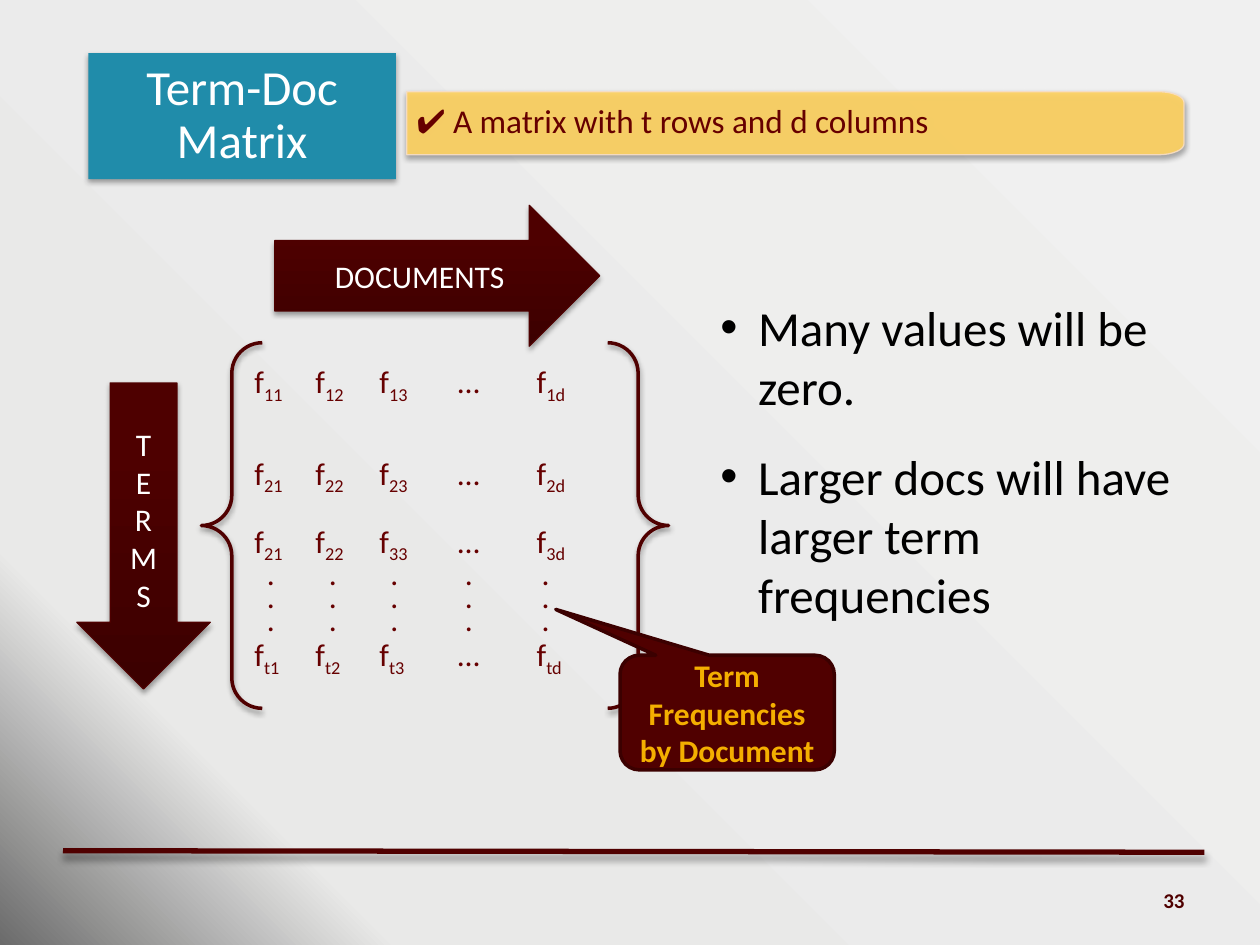
import math
from lxml import etree
from pptx import Presentation, util as u
from pptx.dml.color import RGBColor
from pptx.enum import shapes, text
from pptx.oxml.ns import qn

DARK, WINE, WHITE = "500000", "660000", "FFFFFF"
KIND, ALIGN, MID = shapes.MSO_SHAPE, text.PP_ALIGN, text.MSO_ANCHOR.MIDDLE


def rgb(code):
    return RGBColor.from_string(code)


def node(root, tag, **attrs):
    return etree.SubElement(root, qn("a:" + tag), {k: str(v) for k, v in attrs.items()})


class Deck:
    font = "Calibri"
    size = 18

    def __init__(self, wide, high):
        self.prs = Presentation()
        self.prs.slide_width, self.prs.slide_height = u.Cm(wide), u.Cm(high)
        self.slide = self.prs.slides.add_slide(self.prs.slide_layouts[1])

    def ground(self, stops):
        """Circular gradient that spreads from the top right corner."""
        self.slide.background.fill.gradient()
        grad = self.slide._element.find(".//" + qn("a:gradFill"))
        grad.clear()
        items = node(grad, "gsLst")
        for pos, code in stops:
            node(node(items, "gs", pos=pos * 1000), "srgbClr", val=code)
        node(node(grad, "path", path="circle"), "fillToRect", l=100000, b=100000)

    def place(self, shape, box):
        shape.left, shape.top, shape.width, shape.height = map(u.Cm, box)
        return shape

    def shade(self, shape, alpha=35, blur=3.1, dist=1.8):
        effect = node(shape._element.spPr, "effectLst")
        if alpha:
            cast = node(effect, "outerShdw", blurRad=u.Pt(blur), dist=u.Pt(dist),
                        dir=5400000, rotWithShape=0)
            node(node(cast, "srgbClr", val="000000"), "alpha", val=alpha * 1000)

    def paint(self, shape, fill=None, line=None, width=0.75):
        if fill is None:
            shape.fill.background()
        elif isinstance(fill, tuple):
            shape.fill.gradient()
            shape.fill.gradient_angle = 90
            for stop, (pos, code) in zip(shape.fill.gradient_stops, fill):
                stop.position, stop.color.rgb = pos, rgb(code)
        else:
            shape.fill.solid()
            shape.fill.fore_color.rgb = rgb(fill)
        if line:
            shape.line.color.rgb = rgb(line)
            shape.line.width = u.Pt(width)
        else:
            shape.line.fill.background()

    def frame(self, shape, pads=None, anchor=None):
        frame = shape.text_frame
        frame.word_wrap, frame.auto_size = True, text.MSO_AUTO_SIZE.NONE
        if anchor is not None:
            frame.vertical_anchor = anchor
        if pads:
            (frame.margin_left, frame.margin_top,
             frame.margin_right, frame.margin_bottom) = map(u.Cm, pads)
        return frame

    def put(self, frame, paras, color, size=None, bold=False, align=None, space=None):
        """Each paragraph is a list of runs: (text, changes to the font)."""
        for i, runs in enumerate(paras):
            para = frame.paragraphs[0] if i == 0 else frame.add_paragraph()
            para.alignment, para.line_spacing = align, space
            for words, change in runs:
                run = para.add_run()
                run.text = words
                font = run.font
                font.name = change.get("name", self.font)
                font.size, font.bold = u.Pt(size or self.size), bold
                font.color.rgb = rgb(color)
                if "base" in change:
                    font._element.set("baseline", str(change["base"] * 1000))

    def label(self, box, paras, color=WINE, anchor=None, **style):
        shape = self.slide.shapes.add_textbox(*map(u.Cm, box))
        self.put(self.frame(shape, anchor=anchor), paras, color, **style)

    def shape(self, kind, box, fill, line, width=0.75, shadow=(35, 3.1, 1.8)):
        shape = self.slide.shapes.add_shape(kind, *map(u.Cm, box))
        self.paint(shape, fill, line, width)
        self.shade(shape, *shadow)
        return shape

    def rule(self, ends, color, width):
        line = self.slide.shapes.add_connector(shapes.MSO_CONNECTOR.STRAIGHT, *map(u.Cm, ends))
        line.line.color.rgb, line.line.width = rgb(color), u.Pt(width)
        self.shade(line, 40, 4, 3)

    def title(self, box, words, fill):
        shape = self.place(self.slide.shapes.title, box)
        node(node(shape._element.spPr, "prstGeom", prst="roundRect"), "avLst")
        self.paint(shape, fill)
        self.shade(shape)
        self.put(self.frame(shape, (0.53, 0.36, 0.53, 0.36), MID), [[(words, {})]],
                 WHITE, size=28, align=ALIGN.CENTER, space=0.9)

    def bullets(self, box, items):
        frame = self.frame(self.place(self.slide.placeholders[1], box))
        self.put(frame, [[(item, {})] for item in items], "000000", size=28)
        for i, para in enumerate(frame.paragraphs):
            para.space_before, para.space_after = u.Pt(6 if i else 0), u.Pt(12)
            props = para._p.get_or_add_pPr()
            props.set("marL", str(u.Cm(0.76)))
            props.set("indent", str(-u.Cm(0.76)))

    def banner(self, box, runs, fill, line):
        """Bar with both right corners rounded."""
        left, top, wide, high = box
        rx, ry, steps = 0.51, 0.22, 8
        turns = [math.pi / 2 * i / steps for i in range(steps + 1)]
        upper = [(left + wide - rx + rx * math.sin(t), top + ry - ry * math.cos(t))
                 for t in turns]
        lower = [(x, 2 * top + high - y) for x, y in reversed(upper)]
        points = [(u.Cm(x), u.Cm(y)) for x, y in upper + lower + [(left, top + high)]]
        edge = self.slide.shapes.build_freeform(u.Cm(left), u.Cm(top))
        edge.add_line_segments(points, close=True)
        shape = edge.convert_to_shape()
        self.paint(shape, fill, line)
        for tint in shape._element.spPr.iter(qn("a:srgbClr")):
            node(tint, "alpha", val=90000)
        self.shade(shape)
        self.put(self.frame(shape, (0.2, 0.25, 0.36, 0.25), MID), [runs], WINE,
                 size=19, align=ALIGN.LEFT, space=0.9)


def main():
    deck = Deck(25.4, 19.05)
    deck.ground([(0, "F0F0F0"), (82, "E9E9E8"), (100, "6B6B6B")])
    deck.rule((1.27, 17.15, 24.28, 17.18), DARK, 3)

    # Heading and list
    deck.title((1.78, 1.07, 6.2, 2.54), "Term-Doc Matrix", "208CAA")
    deck.banner((8.2, 1.85, 15.67, 1.27),
                [("✔", {"name": "Arial"}), (" A matrix with t rows and d columns", {})],
                "FFD25F", "F7DEC6")
    deck.bullets((14.27, 5.87, 9.68, 9.12),
                 ["Many values will be zero.", "Larger docs will have larger term frequencies"])

    # Matrix: braces, cells and dots
    deck.shape(KIND.DOUBLE_BRACE, (4.06, 6.91, 9.42, 7.37), None, DARK, 2, (38, 3.1, 1.6))
    cols = (4.88, 6.11, 7.4, 8.98, 10.57)
    rows = {7.18: "11 12 13 … 1d", 9.02: "21 22 23 … 2d",
            10.39: "21 22 33 … 3d", 12.68: "t1 t2 t3 … td"}
    for top, marks in rows.items():
        for left, mark in zip(cols, marks.split()):
            runs = [(mark, {})] if mark == "…" else [("f", {}), (mark, {"base": -25})]
            deck.label((left, top, 1.02 if mark == "…" else 1.35, 1.02), [runs])
    for left in (5.13, 6.38, 7.62, 9.12, 10.67):
        deck.label((left, 11.28, 0.51, 1.7), [[(".", {})]] * 3, anchor=MID, space=0.6)

    # Axis arrows
    blend = ((0, "3C0000"), (0.8, "4E0000"))
    for kind, box, lines in (
            (KIND.DOWN_ARROW, (1.55, 7.72, 2.69, 6.17), "TERMS"),
            (KIND.RIGHT_ARROW, (5.54, 4.14, 6.55, 2.84), ["DOCUMENTS"])):
        arrow = deck.shape(kind, box, blend, "4E0000")
        deck.put(deck.frame(arrow, anchor=MID), [[(line, {})] for line in lines],
                 WHITE, align=ALIGN.CENTER)

    # Callout
    note = deck.shape(KIND.ROUNDED_RECTANGULAR_CALLOUT, (12.5, 13.21, 4.32, 2.31),
                      DARK, "3B0000", 2, (0,))
    note.adjustments[0], note.adjustments[1] = -0.8, -0.9
    deck.put(deck.frame(note, anchor=MID), [[("Term Frequencies by Document", {})]],
             "F4AF00", bold=True, align=ALIGN.CENTER)

    # Slide number
    deck.label((18.21, 17.63, 5.92, 1.02), [[("33", {})]], DARK, anchor=MID,
               size=12, bold=True, align=ALIGN.RIGHT)
    deck.prs.save("out.pptx")


if __name__ == "__main__":
    main()
